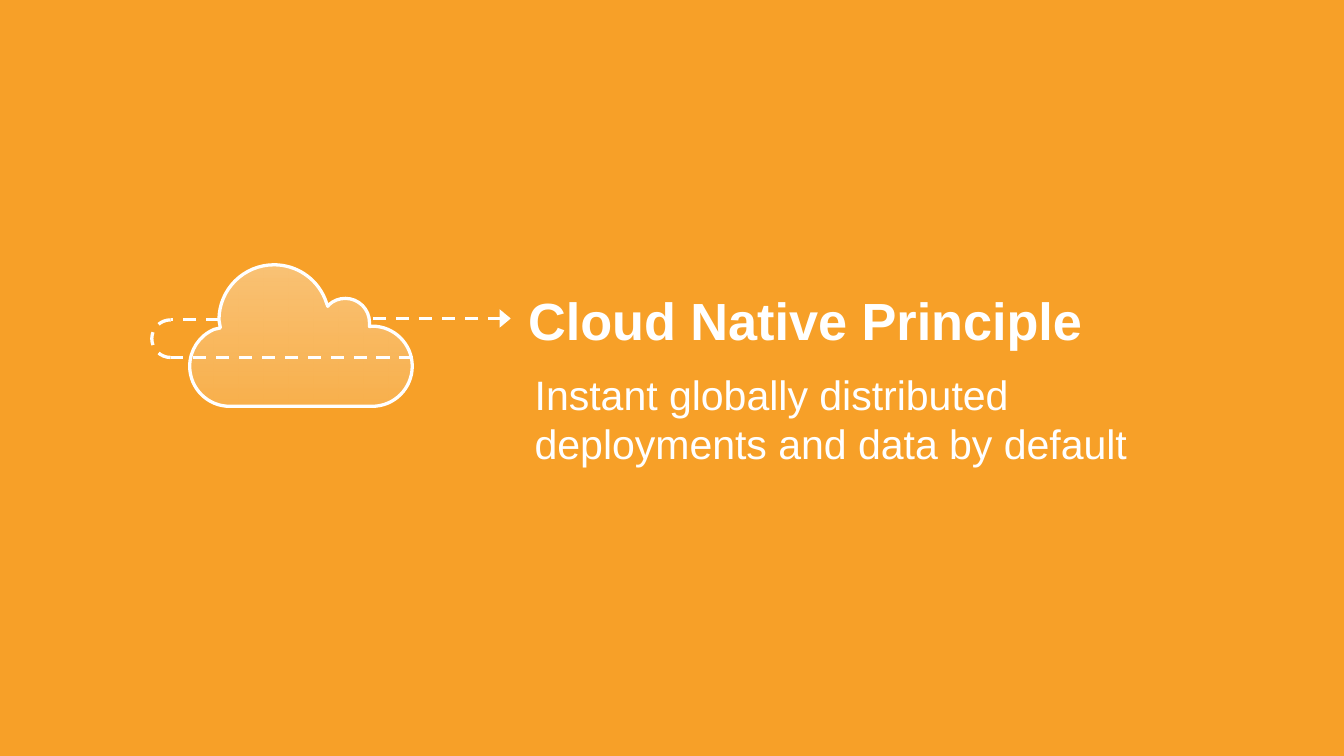
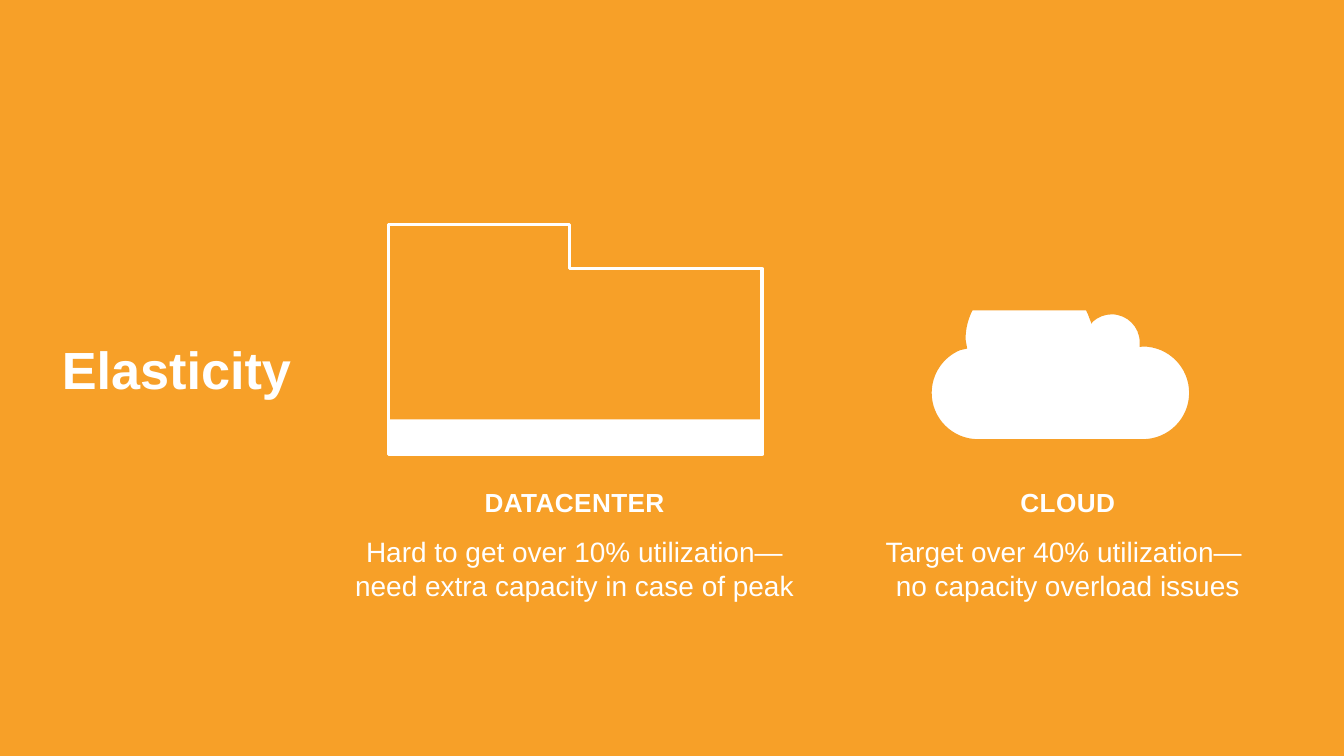
from copy import deepcopy
from math import ceil, cos, floor, radians, sin, tan

from lxml import etree
from pptx import Presentation
from pptx.dml.color import RGBColor
from pptx.enum.dml import MSO_LINE
from pptx.enum.shapes import MSO_CONNECTOR, MSO_SHAPE
from pptx.enum.text import MSO_ANCHOR, MSO_AUTO_SIZE, PP_ALIGN
from pptx.oxml.ns import qn
from pptx.util import Emu, Pt

PX = 9144
WIDTH, HEIGHT = 1000 * PX, 1000 * PX * 9 // 16
ORANGE, WHITE = "F7A028", "FFFFFF"
FONT = "Arial"
LINE_WIDTH = 1.75
TITLE_ONLY = 5
CLOUD_WIDTH = 166
DASH = MSO_LINE.DASH
STRAIGHT = MSO_CONNECTOR.STRAIGHT
RECTANGLE = MSO_SHAPE.RECTANGLE
TOP = MSO_ANCHOR.TOP
GROW, FIXED = MSO_AUTO_SIZE.SHAPE_TO_FIT_TEXT, MSO_AUTO_SIZE.NONE
LEFT, CENTER = PP_ALIGN.LEFT, PP_ALIGN.CENTER


def color(value):
    """Turn a hex string into a colour."""
    return RGBColor.from_string(value)


def emu(*lengths):
    """Turn px lengths into EMU."""
    return [Emu(round(length * PX)) for length in lengths]


def write(frame, text, size=15, bold=False, align=LEFT, spacing=None, tracking=0, fit=GROW):
    """Fill a text frame with one formatted white paragraph."""
    frame.word_wrap = True
    frame.auto_size = fit
    frame.vertical_anchor = TOP
    para = frame.paragraphs[0]
    para.text = text
    para.alignment = align
    if spacing:
        para.line_spacing = spacing
    for span in para.runs:
        span.font.name = FONT
        span.font.size = Pt(size)
        span.font.bold = bold
        span.font.color.rgb = color(WHITE)
        if tracking:
            span.font._element.set("spc", str(tracking))
    for line_break in para._p.findall(qn("a:br")):
        line_break.insert(0, deepcopy(para.runs[0].font._element))


def add_text(page, box, text, **style):
    """Add a text box."""
    write(page.shapes.add_textbox(*emu(*box)).text_frame, text, **style)


def add_page(deck, title, box):
    """Add a page and place its title."""
    page = deck.slides.add_slide(deck.slide_layouts[TITLE_ONLY])
    holder = page.shapes.title
    holder.left, holder.top, holder.width, holder.height = emu(*box)
    write(holder.text_frame, title, size=28, bold=True, spacing=0.9, fit=FIXED)
    return page


def paint(shape, fill=None, line=None, dash=None):
    """Set the fill and line of a shape."""
    shape.shadow.inherit = False
    if fill:
        shape.fill.solid()
        shape.fill.fore_color.rgb = color(fill)
    else:
        shape.fill.background()
    if line:
        stroke(shape.line, line, dash)
    else:
        shape.line.fill.background()


def stroke(line, value, dash=None):
    """Set the colour, width and dash of a line."""
    line.color.rgb = color(value)
    line.width = Pt(LINE_WIDTH)
    if dash:
        line.dash_style = dash


def add_rectangle(page, box, fill):
    """Add a plain rectangle."""
    paint(page.shapes.add_shape(RECTANGLE, *emu(*box)), fill)


def add_outline(page, *contours, close=True):
    """Add a freeform from contours whose steps hold one point or three curve points."""
    builder = None
    for (start,), *steps in contours:
        if builder:
            builder.move_to(*emu(*start))
        else:
            builder = page.shapes.build_freeform(*emu(*start))
        builder.add_line_segments([emu(*point) for step in steps for point in step], close=close)
    shape = builder.convert_to_shape()
    lines = iter(list(shape._element.iter(qn("a:lnTo"))))
    for _, *steps in contours:
        for step in steps:
            bend(*[next(lines) for _ in step])
    return shape


def bend(first, *others):
    """Merge three line steps into one curve, and leave a single one straight."""
    if others:
        first.tag = qn("a:cubicBezTo")
        for other in others:
            first.append(other[0])
            other.getparent().remove(other)


def add_dashes(page, start, end, arrow=False):
    """Add a dashed line, with an arrowhead at its start if wanted."""
    connector = page.shapes.add_connector(STRAIGHT, *emu(*start, *end))
    stroke(connector.line, WHITE, DASH)
    properties = connector._element.spPr
    if arrow:
        line = properties.find(qn("a:ln"))
        etree.SubElement(line, qn("a:headEnd"), type="triangle", w="lg", len="med")
    etree.SubElement(properties, qn("a:effectLst"))


def arc(x, y, radius, start, end):
    """List the steps of a clockwise arc: its first point, then a curve for each quadrant."""
    quadrants = range(floor(start / 90) + 1, ceil(end / 90))
    stops = [start, *[90 * quadrant for quadrant in quadrants], end]

    def point(angle, reach=0):
        across, down = cos(radians(angle)), sin(radians(angle))
        return x + radius * (across - reach * down), y + radius * (down + reach * across)

    steps = [[point(start)]]
    for here, there in zip(stops, stops[1:]):
        reach = 4 / 3 * tan(radians(there - here) / 4)
        steps.append([point(here, reach), point(there, -reach), point(there)])
    return steps


def cloud(left, top, width):
    """List the outline steps of a cloud of the given width."""
    steps = arc(30, 75.5, 29.8, 90, 247) + [[(23, 47)]]
    steps += arc(63, 41, 41, 180, 337) + [[(103, 31)]]
    steps += arc(116, 43, 18, 227, 360) + [[(134, 46)]]
    steps += arc(136, 75.5, 29.8, 270, 450)
    scale = width / CLOUD_WIDTH
    return [[(left + x * scale, top + y * scale) for x, y in step] for step in steps]


def fade(shape, *stops):
    """Fill a shape with white that fades downwards."""
    shape.fill.gradient()
    shape.fill.gradient_angle = 270
    for stop, (position, opacity) in zip(shape.fill.gradient_stops, stops):
        stop.color.rgb = color(WHITE)
        stop.position = position
        tint = stop._gs.find(qn("a:srgbClr"))
        etree.SubElement(tint, qn("a:alpha"), val=str(opacity * 1000))


def draw_cloud_loop(page, left, top):
    """Draw a cloud with a dashed path looping through it."""
    outline = add_outline(page, cloud(left, top, CLOUD_WIDTH))
    paint(outline, line=WHITE)
    fade(outline, (0.02, 35), (1, 16))
    turn, upper, lower = left - 14, top + 41, top + 69
    radius = (lower - upper) / 2
    add_dashes(page, (left + 22, upper), (turn, upper))
    loop = add_outline(page, arc(turn, upper + radius, radius, 90, 270), close=False)
    paint(loop, line=WHITE, dash=DASH)
    add_dashes(page, (left + CLOUD_WIDTH, lower), (turn, lower))
    add_dashes(page, (left + 239, top + 40), (left + 133, top + 40), arrow=True)


def draw_cloud_gauge(page, left, top, width, height):
    """Show a white level through a cloud cut out of an orange panel."""
    add_rectangle(page, (left + 65, top + 127, 278, 100), WHITE)
    right, bottom = left + width, top + height
    panel = [[(left, top)], [(right, top)], [(right, bottom)], [(left, bottom)]]
    paint(add_outline(page, panel, cloud(left + 114, top + 101, 192)), ORANGE)


def draw_datacenter_gauge(page, left, top, width, height):
    """Draw a stepped outline with a low white level."""
    right, bottom = left + width, top + height
    step, shelf = left + 135, top + 33
    add_rectangle(page, (left, bottom - 26, width, 33), WHITE)
    add_rectangle(page, (left - 45, bottom, 386, 208), ORANGE)
    walls = [(left, top), (step, top), (step, shelf), (right, shelf), (right, bottom), (left, bottom)]
    paint(add_outline(page, [[corner] for corner in walls]), line=WHITE)


def add_caption(page, box, inset, label, text):
    """Add a bold label with centred text below it."""
    left, top, width, height = box
    label_box = left + inset, top, width - 2 * inset, 34
    add_text(page, label_box, label, size=14, bold=True, align=CENTER, tracking=20)
    add_text(page, (left, top + 36, width, height - 36), text, align=CENTER)


def build_principle(deck):
    """Build the page that states the principle."""
    page = add_page(deck, "Cloud Native Principle", (383, 215, 488, 97))
    draw_cloud_loop(page, 141, 197)
    text = "Instant globally distributed deployments and data by default"
    add_text(page, (388, 270, 545, 84), text, size=22)


def build_elasticity(deck):
    """Build the page that compares utilization."""
    page = add_page(deck, "Elasticity", (36, 251, 241, 61))
    draw_cloud_gauge(page, 579, 104, 421, 325)
    draw_datacenter_gauge(page, 289, 167, 278, 171)
    add_caption(page, (244, 357, 367, 97), 18, "DATACENTER",
                "Hard to get over 10% utilization— need extra capacity in case of peak")
    add_caption(page, (631, 357, 327, 97), 35, "CLOUD",
                "Target over 40% utilization— \vno capacity overload issues")


def main():
    """Build and save the deck."""
    deck = Presentation()
    deck.slide_width, deck.slide_height = WIDTH, HEIGHT
    background = deck.slide_master.background.fill
    background.solid()
    background.fore_color.rgb = color(ORANGE)
    build_principle(deck)
    build_elasticity(deck)
    deck.save("out.pptx")


if __name__ == "__main__":
    main()
